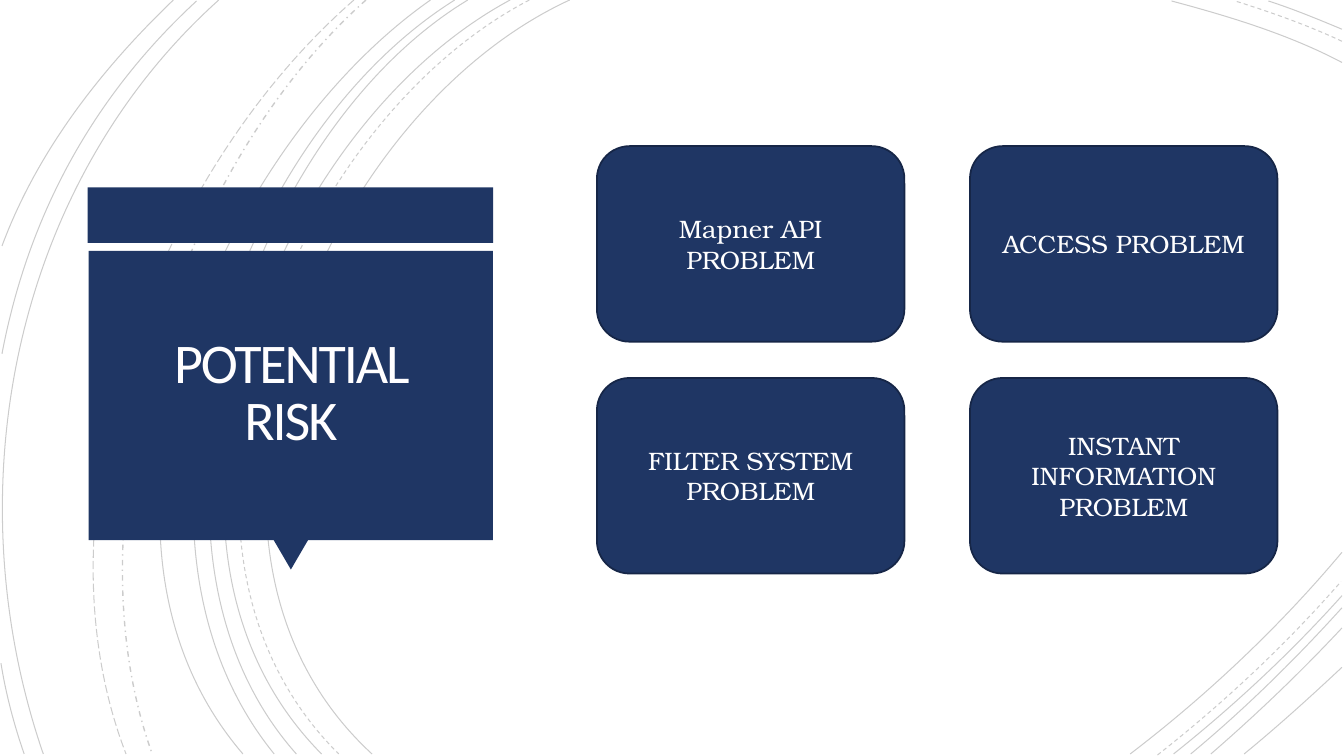
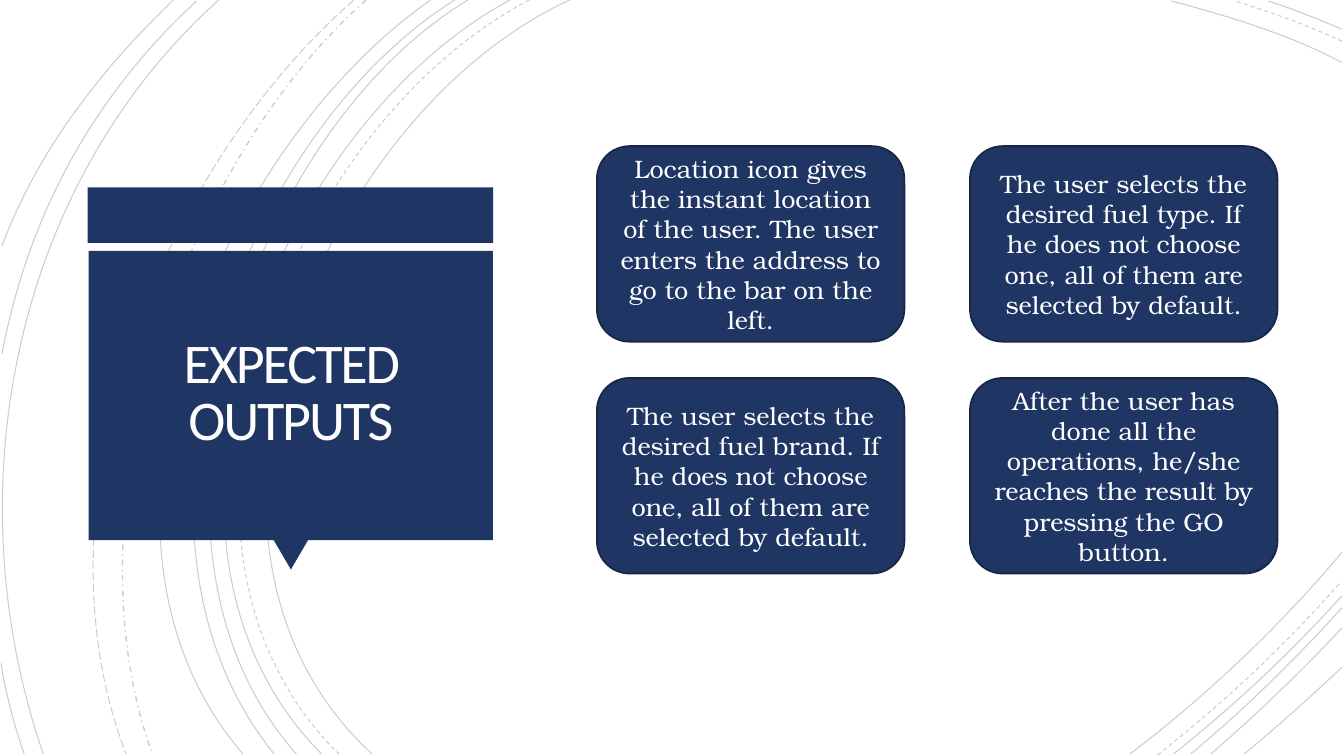
from lxml import etree
from pptx import Presentation
from pptx import util as u
from pptx.dml import color
from pptx.enum import dml, shapes, text
from pptx.oxml import ns

NAVY, DARK_NAVY, BLACK = "1F3664", "162647", "000000"
TITLE_WHITE, WHITE = "FFFEFF", "FFFFFF"
TITLE_FONT, CARD_FONT = "Calibri", "TeX Gyre Bonum"
DASH = dml.MSO_LINE

ARC_OPACITY = 20
# Each arc: start, two control points, end (x, y in inches)
SOLID_ARCS = [
    (5.65, 0, 3.15, 1.15, 1.43, 5.4, 3.69, 7.48),
    (13.31, 0.62, 12.78, 0.34, 12.18, 0.16, 11.62, 0.01),
    (11.21, 7.48, 11.97, 6.9, 12.69, 6.22, 13.31, 5.48),
    (5.06, 0, 2.7, 1.27, 1.1, 5.37, 3.19, 7.48),
    (13.31, 0.29, 13.07, 0.19, 12.83, 0.09, 12.58, 0.01),
    (11.64, 7.48, 12.23, 7.01, 12.8, 6.48, 13.31, 5.91),
    (4.64, 0, 2.44, 1.33, 1.1, 5.41, 2.94, 7.48),
    (11.81, 7.48, 12.34, 7.04, 12.84, 6.55, 13.31, 6.03),
    (4.51, 0, 2.31, 1.38, 0.97, 5.33, 2.72, 7.48),
    (12.01, 7.48, 12.46, 7.09, 12.9, 6.67, 13.31, 6.23),
    (4.27, 0, 2.17, 1.47, 0.53, 5.29, 2.41, 7.48),
    (12.34, 7.48, 12.67, 7.21, 12.99, 6.92, 13.31, 6.62),
    (2.17, 0, 0.11, 1.85, -0.46, 4.9, 0.43, 7.48),
    (1.95, 0.01, 0.92, 0.96, 0.28, 2.14, 0.02, 3.51),
    (0.01, 6.58, 0.06, 6.89, 0.14, 7.19, 0.24, 7.48),
    (1.72, 0, 1, 0.69, 0.37, 1.5, 0.02, 2.44),
]
DASHED_ARCS = [
    (5.25, 0, 2.85, 1.25, 1.23, 5.37, 3.36, 7.48),
    (13.31, 0.41, 12.97, 0.25, 12.6, 0.12, 12.25, 0.01),
    (11.48, 7.49, 12.13, 6.98, 12.75, 6.4, 13.3, 5.77),
]
DASH_DOT_ARCS = [(3.63, 0, 1.76, 1.66, 0.65, 5.09, 1.51, 7.48)]
LONG_DASH_ARCS = [(3.51, 0, 1.57, 1.69, 0.29, 4.99, 1.25, 7.48)]
ARC_STYLES = [
    (SOLID_ARCS, DASH.SOLID, 0.75),
    (DASHED_ARCS, DASH.DASH, 0.75),
    (DASH_DOT_ARCS, DASH.DASH_DOT, 1),
    (LONG_DASH_ARCS, DASH.LONG_DASH, 0.75),
]

CARD_LEFT, CARD_TOP, CARD_WIDTH, CARD_HEIGHT = 5.92, 1.45, 3.05, 1.94
CARD_STEP_X, CARD_STEP_Y = 3.7, 2.3

SLIDES = [
    ("POTENTIAL RISK", [
        "Mapner API PROBLEM",
        "ACCESS PROBLEM",
        "FILTER SYSTEM PROBLEM",
        "INSTANT INFORMATION PROBLEM",
    ]),
    ("EXPECTED OUTPUTS", [
        "Location icon gives the instant location of the user. "
        "The user enters the address to go to the bar on the left.",
        "The user selects the desired fuel type. "
        "If he does not choose one, all of them are selected by default.",
        "The user selects the desired fuel brand. "
        "If he does not choose one, all of them are selected by default.",
        "After the user has done all the operations, "
        "he/she reaches the result by pressing the GO button.",
    ]),
]


def rgb(value):
    return color.RGBColor.from_string(value)


def write_text(shape, content, font, size, fill, inset=None, line_spacing=None, tracking=None):
    """Put centred text in a shape; tracking is in points."""
    frame = shape.text_frame
    frame.word_wrap = True
    frame.vertical_anchor = text.MSO_ANCHOR.MIDDLE
    if inset is not None:
        frame.margin_left = frame.margin_right = u.Inches(inset)
        frame.margin_top = frame.margin_bottom = u.Inches(inset)
    paragraph = frame.paragraphs[0]
    paragraph.alignment = text.PP_ALIGN.CENTER
    paragraph.line_spacing = line_spacing
    run = paragraph.add_run()
    run.text = content
    run.font.name = font
    run.font.size = u.Pt(size)
    run.font.color.rgb = rgb(fill)
    if tracking is not None:
        run.font._element.set("spc", str(round(tracking * 100)))


def add_box(slide, kind, left, top, width, height, outline=None):
    shape = slide.shapes.add_shape(
        kind, u.Inches(left), u.Inches(top), u.Inches(width), u.Inches(height))
    shape.shadow.inherit = False
    shape.fill.solid()
    shape.fill.fore_color.rgb = rgb(NAVY)
    if outline:
        shape.line.color.rgb = rgb(outline)
        shape.line.width = u.Pt(1.25)
    else:
        shape.line.fill.background()
    return shape


def bend_segments(shape):
    """Turn the three segments of a freeform into one cubic curve."""
    segments = list(shape._element.iter(ns.qn("a:lnTo")))
    curve = etree.SubElement(segments[0].getparent(), ns.qn("a:cubicBezTo"))
    for segment in segments:
        curve.append(segment[0])
        segment.getparent().remove(segment)


def add_arc(group, arc, dash, width):
    lengths = [u.Inches(value) for value in arc]
    start, *rest = zip(lengths[::2], lengths[1::2])
    builder = group.shapes.build_freeform(*start)
    builder.add_line_segments(rest, close=False)
    shape = builder.convert_to_shape()
    bend_segments(shape)
    shape.shadow.inherit = False
    shape.fill.background()
    shape.line.color.rgb = rgb(BLACK)
    shape.line.width = u.Pt(width)
    shape.line.dash_style = dash
    line_color = shape.line._ln.find(".//" + ns.qn("a:srgbClr"))
    etree.SubElement(line_color, ns.qn("a:alpha"), val=str(ARC_OPACITY * 1000))


def add_background_arcs(slide):
    group = slide.shapes.add_group_shape()
    for arcs, dash, width in ARC_STYLES:
        for arc in arcs:
            add_arc(group, arc, dash, width)


def add_title_panel(slide, title):
    kinds = shapes.MSO_SHAPE
    add_box(slide, kinds.RECTANGLE, 0.87, 1.86, 4.02, 0.55)
    pointer = add_box(slide, kinds.ISOSCELES_TRIANGLE, 2.71, 5.35, 0.35, 0.3)
    pointer.rotation = 180
    add_box(slide, kinds.RECTANGLE, 0.88, 2.49, 4.01, 2.87)
    title_box = slide.shapes.add_textbox(
        u.Inches(0.97), u.Inches(2.57), u.Inches(3.83), u.Inches(2.69))
    write_text(title_box, title, font=TITLE_FONT, size=40, fill=TITLE_WHITE,
               inset=0.25, line_spacing=0.85, tracking=-1.5)


def add_cards(slide, captions):
    """Lay the captions out two to a row."""
    for index, caption in enumerate(captions):
        row, column = divmod(index, 2)
        card = add_box(slide, shapes.MSO_SHAPE.ROUNDED_RECTANGLE,
                       CARD_LEFT + column * CARD_STEP_X, CARD_TOP + row * CARD_STEP_Y,
                       CARD_WIDTH, CARD_HEIGHT, outline=DARK_NAVY)
        write_text(card, caption, font=CARD_FONT, size=18, fill=WHITE)


def main():
    presentation = Presentation()
    presentation.slide_width = u.Inches(13.33)
    presentation.slide_height = u.Inches(7.5)
    blank_layout = presentation.slide_layouts[6]
    for title, captions in SLIDES:
        slide = presentation.slides.add_slide(blank_layout)
        add_background_arcs(slide)
        add_title_panel(slide, title)
        add_cards(slide, captions)
    presentation.save("out.pptx")


if __name__ == "__main__":
    main()
